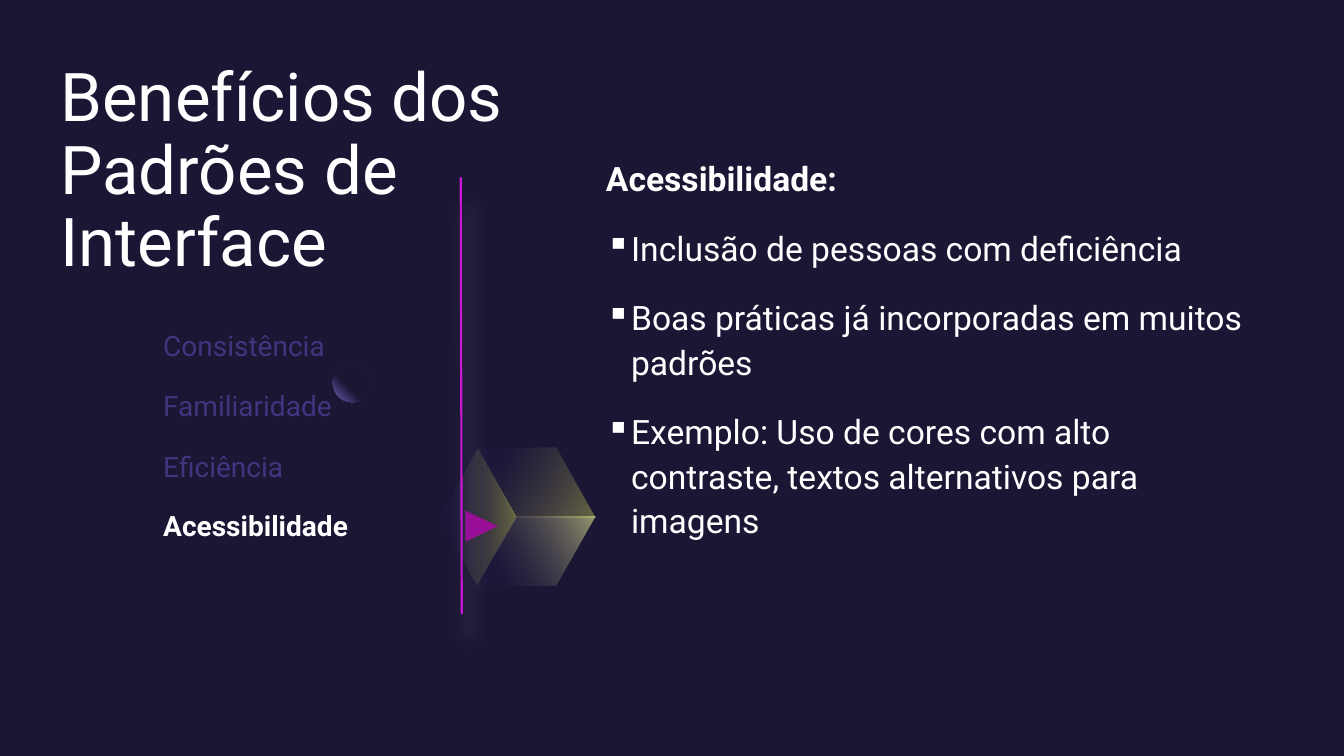
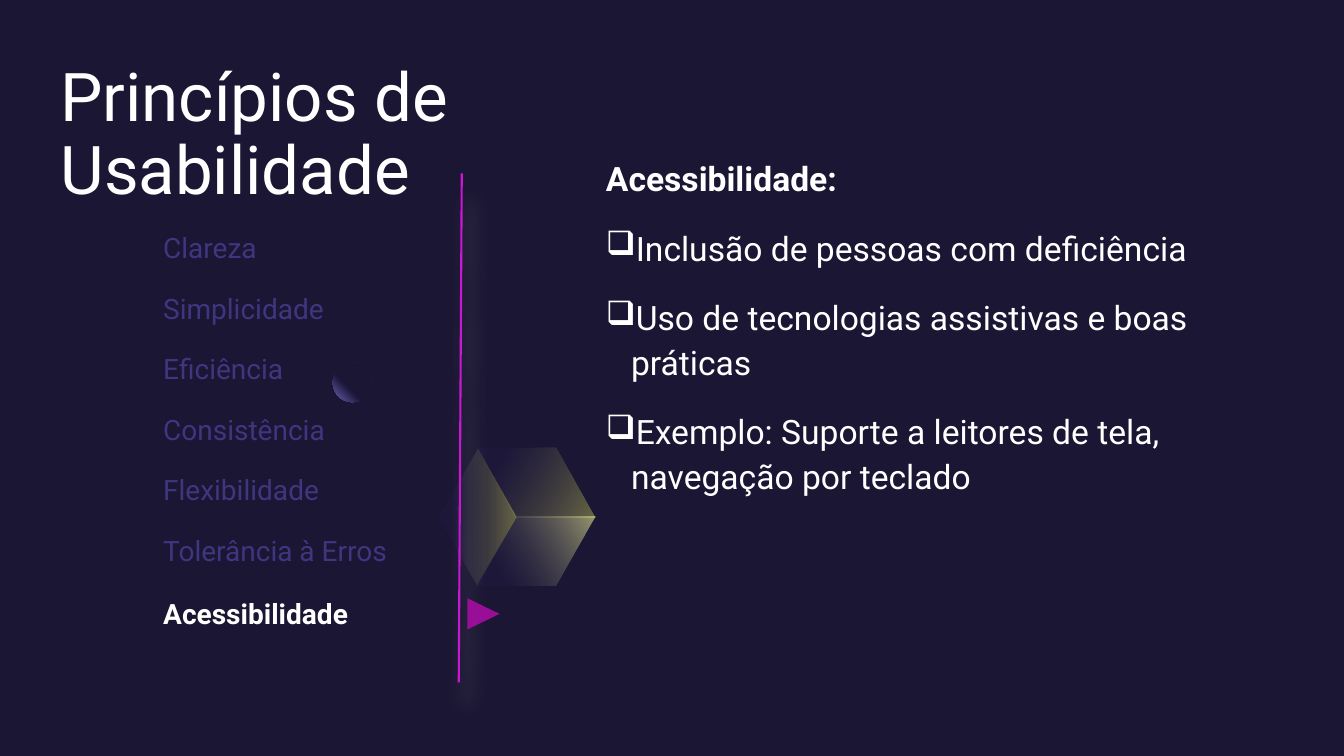
"""Build two slides that pair a topic menu with the details of its active topic."""
from lxml.etree import SubElement
from pptx import Presentation
from pptx.dml.color import RGBColor
from pptx.enum.shapes import MSO_CONNECTOR, MSO_SHAPE
from pptx.enum.text import MSO_ANCHOR, MSO_AUTO_SIZE, PP_ALIGN
from pptx.oxml import parse_xml
from pptx.oxml.ns import nsdecls, qn
from pptx.util import Inches, Pt

COLORS = {
    "background": "1A1633",
    "text": "FFFFFF",
    "muted": "40367F",
    "line": "CA17D5",
    "arrow": "990E97",
    "orb": "7266BD",
    "cube_dark": "2A2352",
    "cube_yellow": "DFE35E",
    "cube_light": "EAEC94",
}
FONT = "Roboto"
FRAME = {
    "word_wrap": True,
    "auto_size": MSO_AUTO_SIZE.NONE,
    "vertical_anchor": MSO_ANCHOR.TOP,
}
NO_MARGINS = dict.fromkeys(
    ("margin_left", "margin_top", "margin_right", "margin_bottom"), 0
)
TITLE_PARAGRAPH = {"line_spacing": 0.9, "alignment": PP_ALIGN.LEFT}
BODY_PARAGRAPH = {"line_spacing": 1.1, "space_before": Pt(10), "space_after": Pt(8)}

CENTER, RIGHT = (5.12, 5.13), (5.91, 5.13)
TOP_RIGHT, TOP_LEFT, LEFT = (5.52, 4.44), (4.74, 4.45), (4.35, 5.13)
BOTTOM_LEFT, BOTTOM_RIGHT = (4.73, 5.81), (5.52, 5.81)
CUBE_FACES = [
    ((TOP_RIGHT, TOP_LEFT, CENTER, RIGHT), "cube_yellow", 40, 30),
    ((BOTTOM_LEFT, LEFT, TOP_LEFT, CENTER), "cube_yellow", 40, 0),
    ((RIGHT, BOTTOM_RIGHT, BOTTOM_LEFT, CENTER), "cube_light", 60, 330),
]
MENU_STEP = 0.6

SLIDES = [
    {
        "title": "Benefícios dos Padrões de Interface",
        "topics": ["Consistência", "Familiaridade", "Eficiência"],
        "menu_top": 3.21,
        "active_top": 5,
        "line": ((4.57, 1.76), (4.58, 6.09)),
        "arrow_left": 4.62,
        "bullet": "▪",
        "points": [
            "Inclusão de pessoas com deficiência",
            "Boas práticas já incorporadas em muitos padrões",
            "Exemplo: Uso de cores com alto contraste, textos alternativos para imagens",
        ],
    },
    {
        "title": "Princípios de Usabilidade",
        "topics": [
            "Clareza",
            "Simplicidade",
            "Eficiência",
            "Consistência",
            "Flexibilidade",
            "Tolerância à Erros",
        ],
        "menu_top": 2.24,
        "active_top": 5.87,
        "line": ((4.58, 1.72), (4.55, 6.77)),
        "arrow_left": 4.64,
        "bullet": "❑",
        "points": [
            "Inclusão de pessoas com deficiência",
            "Uso de tecnologias assistivas e boas práticas",
            "Exemplo: Suporte a leitores de tela, navegação por teclado",
        ],
    },
]


def rgb(name):
    """Return the named colour."""
    return RGBColor.from_string(COLORS[name])


def apply(target, values):
    """Set every attribute in values on target."""
    for name, value in values.items():
        setattr(target, name, value)


class Deck:
    """Hold the shared style and the slide being built."""

    def __init__(self):
        """Start an empty widescreen presentation."""
        self.presentation = Presentation()
        self.presentation.slide_width = Inches(13.33)
        self.presentation.slide_height = Inches(7.5)
        self.slide = None

    def new_slide(self, title):
        """Add a dark slide with its title."""
        self.slide = self.presentation.slides.add_slide(
            self.presentation.slide_layouts[5]
        )
        fill = self.slide.background.fill
        fill.solid()
        fill.fore_color.rgb = rgb("background")
        shape = self.slide.shapes.title
        position = {"left": 0.6, "top": 0.63, "width": 5.95, "height": 2.18}
        apply(shape, {name: Inches(value) for name, value in position.items()})
        apply(shape.text_frame, FRAME | NO_MARGINS)
        self.add_text(shape.text_frame.paragraphs[0], title, 48, layout=TITLE_PARAGRAPH)

    def add_text(self, paragraph, text, size, color="text", bold=False, layout=None):
        """Fill a paragraph with one formatted run."""
        apply(paragraph, layout or {})
        run = paragraph.add_run()
        run.text = text
        apply(run.font, {"name": FONT, "size": Pt(size), "bold": bold})
        run.font.color.rgb = rgb(color)

    def text_box(self, left, top, width, height, **frame_values):
        """Add a wrapping text box and return its frame."""
        box = self.slide.shapes.add_textbox(
            Inches(left), Inches(top), Inches(width), Inches(height)
        )
        apply(box.text_frame, FRAME | frame_values)
        return box.text_frame

    def label(self, text, top, color="muted", bold=False):
        """Add one menu label."""
        frame = self.text_box(1.52, top, 3, 0.44)
        self.add_text(frame.paragraphs[0], text, 20, color, bold)

    def details(self, heading, points, bullet):
        """Add a bold heading followed by bulleted points."""
        frame = self.text_box(6.01, 1.53, 6.46, 5, **NO_MARGINS)
        self.add_text(frame.paragraphs[0], heading, 24, bold=True, layout=BODY_PARAGRAPH)
        for point in points:
            paragraph = frame.add_paragraph()
            self.add_text(paragraph, point, 24, layout=BODY_PARAGRAPH)
            properties = paragraph._p.get_or_add_pPr()
            properties.set("marL", str(Inches(0.25)))
            properties.set("indent", str(-Inches(0.25)))
            SubElement(properties, qn("a:buChar"), char=bullet)

    def plain(self, shape):
        """Remove the shadow and the outline of a shape."""
        shape.shadow.inherit = False
        shape.line.fill.background()
        return shape

    def preset(self, kind, left, top, width, height):
        """Add a preset shape without shadow or outline."""
        return self.plain(
            self.slide.shapes.add_shape(
                kind, Inches(left), Inches(top), Inches(width), Inches(height)
            )
        )

    def gradient(self, shape, stops, direction):
        """Fill a shape with (position, colour, opacity) stops."""
        stop_xml = "".join(
            f'<a:gs pos="{position * 1000}"><a:srgbClr val="{COLORS[color]}">'
            f'<a:alpha val="{opacity * 1000}"/></a:srgbClr></a:gs>'
            for position, color, opacity in stops
        )
        shape.fill.background()
        properties = shape._element.spPr
        properties.replace(
            properties.find(qn("a:noFill")),
            parse_xml(
                f'<a:gradFill {nsdecls("a")} rotWithShape="1">'
                f"<a:gsLst>{stop_xml}</a:gsLst>{direction}</a:gradFill>"
            ),
        )

    def orb(self):
        """Add the small shaded circle."""
        self.gradient(
            self.preset(MSO_SHAPE.OVAL, 3.3, 3.6, 0.39, 0.39),
            [(60, "background", 100), (100, "orb", 100)],
            '<a:path path="circle"><a:fillToRect l="100000" b="100000"/></a:path>',
        )

    def cube(self):
        """Add the three translucent faces of the cube."""
        for corners, color, opacity, angle in CUBE_FACES:
            points = [(Inches(x), Inches(y)) for x, y in corners]
            builder = self.slide.shapes.build_freeform(*points[0])
            builder.add_line_segments(points[1:], close=True)
            self.gradient(
                self.plain(builder.convert_to_shape()),
                [(20, "cube_dark", 20), (100, color, opacity)],
                f'<a:lin ang="{angle * 60000}" scaled="0"/>',
            )

    def divider(self, start, end):
        """Add the glowing line beside the menu."""
        connector = self.slide.shapes.add_connector(
            MSO_CONNECTOR.STRAIGHT, *map(Inches, start + end)
        )
        connector.line.color.rgb = rgb("line")
        connector.line.width = Pt(1.5)
        connector._element.spPr.append(
            parse_xml(
                f'<a:effectLst {nsdecls("a")}><a:outerShdw blurRad="{Pt(13)}" '
                f'dist="{Pt(19)}" dir="{72 * 60000}" algn="t" rotWithShape="0">'
                f'<a:srgbClr val="{COLORS["text"]}"><a:alpha val="40000"/>'
                "</a:srgbClr></a:outerShdw></a:effectLst>"
            )
        )

    def arrow(self, left, top):
        """Add the triangle that marks the active topic."""
        shape = self.preset(MSO_SHAPE.ISOSCELES_TRIANGLE, left, top, 0.31, 0.32)
        shape.rotation = 90
        shape.fill.solid()
        shape.fill.fore_color.rgb = rgb("arrow")


def main():
    """Build and save the slides."""
    deck = Deck()
    active = "Acessibilidade"
    for content in SLIDES:
        deck.new_slide(content["title"])
        deck.orb()
        deck.cube()
        deck.details(f"{active}:", content["points"], content["bullet"])
        for index, topic in enumerate(content["topics"]):
            deck.label(topic, content["menu_top"] + index * MENU_STEP)
        deck.label(active, content["active_top"], "text", True)
        deck.divider(*content["line"])
        deck.arrow(content["arrow_left"], content["active_top"] + 0.06)
    deck.presentation.save("out.pptx")


if __name__ == "__main__":
    main()
